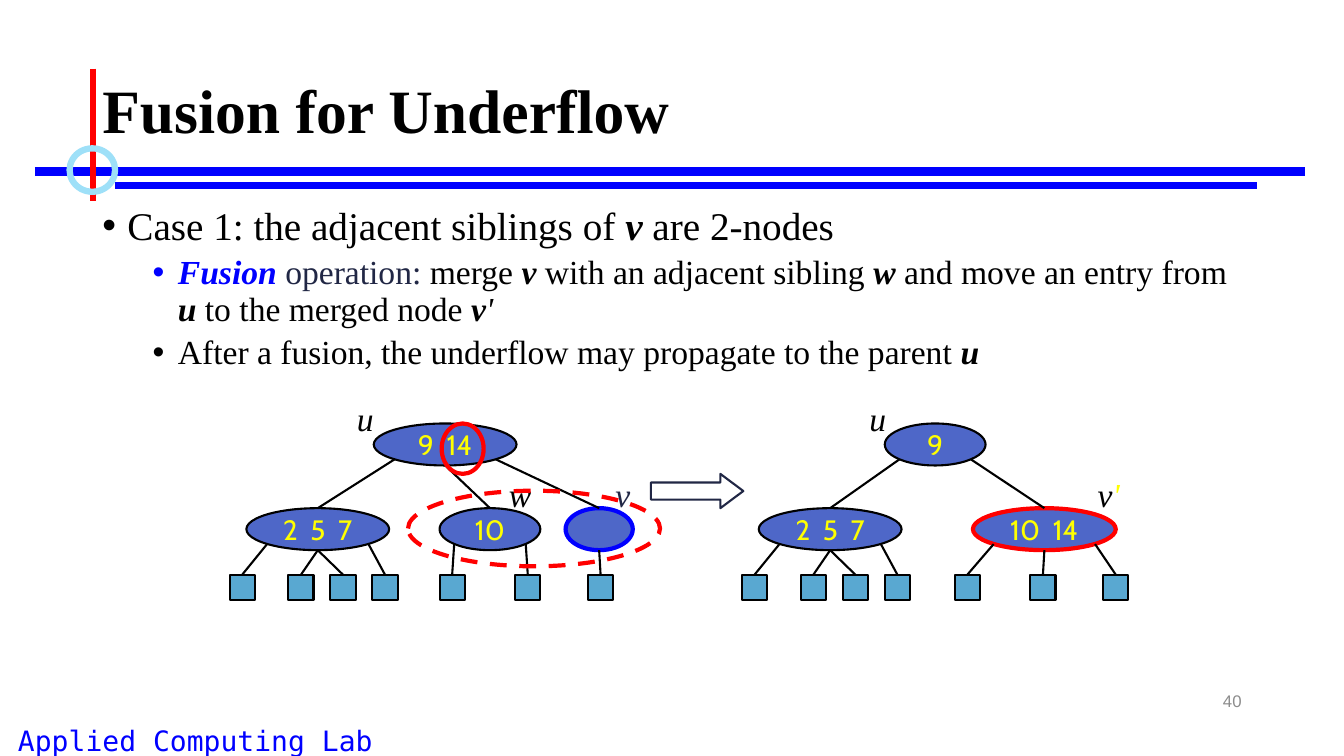
import pptx
import pptx.dml.color
import pptx.enum.dml
import pptx.enum.shapes
import pptx.enum.text
import pptx.oxml
import pptx.oxml.ns
import pptx.util
from dataclasses import dataclass

# Content: spans are (text, style); tree positions are in points.
TITLE = "Fusion for Underflow"
FOOTER = "Applied Computing Lab"
PAGE_NUMBER = "40"
BULLETS = [
    (0, [("Case 1: the adjacent siblings of ", "plain"), ("v", "name"),
         (" are 2-nodes", "plain")]),
    (1, [("Fusion ", "term"), ("operation:", "dark"), (" merge ", "plain"),
         ("v", "name"), (" with an adjacent sibling ", "plain"), ("w", "name"),
         (" and move an entry from ", "plain"), ("u", "name"),
         (" to the merged node ", "plain"), ("v", "name"), ("'", "italic")]),
    (1, [("After a fusion, the underflow may propagate to the parent ", "plain"),
         ("u", "name")]),
]
# A node: keys, centre x, width, outline. A child adds (leaf offset, side) pairs,
# where side is -1, 0 or 1: the left, bottom or right point of the node.
FOUR_LEAVES = [(-54, -1), (-12, 0), (18, 0), (48, 1)]
TREES = [
    {"root": ("9  14", 318, 102, "key"),
     "children": [(("2  5  7", 227, 102, "key"), -1, FOUR_LEAVES),
                  (("10", 350, 72, "key"), 0, [(-27, -1), (27, 1)]),
                  (("", 428, 48, "empty"), 1, [(1, 0)])]},
    {"root": ("9", 668, 72, "key"),
     "children": [(("2  5  7", 593, 102, "key"), -1, FOUR_LEAVES),
                  (("10  14", 746, 102, "merged"), 1,
                   [(-55, -1), (-1, 0), (51, 1)])]},
]
LABELS = [  # centre x, top, spans
    (261, 284.5, [("u", "italic")]),
    (445, 338.5, [("v", "italic_dark")]),
    (371.5, 338.5, [("w", "italic")]),
    (627, 284.5, [("u", "italic")]),
    (792, 338.5, [("v", "italic"), ("'", "italic_key")]),
]


@dataclass(frozen=True)
class Theme:
    black: str = "000000"
    blue: str = "0000FF"
    red: str = "FF0000"
    dark: str = "212745"
    ring: str = "9EE0F8"
    node: str = "4E67C8"
    leaf: str = "59A8D1"
    key: str = "FFFF00"
    grey: str = "8C8C8C"
    serif: str = "Times New Roman"
    sans: str = "Arial"
    mono: str = "DejaVu Sans Mono"
    node_font: str = "Cabin"
    title_size: int = 44
    body_sizes: tuple = (28, 24)
    label_size: int = 24
    key_size: int = 20
    footer_size: int = 20
    number_size: int = 12
    thin: float = 1.5
    bold: float = 3


THEME = Theme()
STYLES = {  # colour, bold, italic
    "plain": (THEME.black, False, False),
    "title": (THEME.black, True, False),
    "name": (THEME.black, True, True),
    "term": (THEME.blue, True, True),
    "dark": (THEME.dark, False, False),
    "italic": (THEME.black, False, True),
    "italic_dark": (THEME.dark, False, True),
    "italic_key": (THEME.key, False, True),
    "key": (THEME.key, False, False),
    "footer": (THEME.blue, False, False),
    "number": (THEME.grey, False, False),
}
OUTLINES = {"key": (THEME.black, THEME.thin), "empty": (THEME.blue, THEME.bold),
            "merged": (THEME.red, THEME.bold)}
NODE_HEIGHT, ROOT_TOP, CHILD_TOP = 30, 302.5, 363
LEAF_SIZE, LEAF_TOP = 18, 410.5
DIAGONAL = 0.71  # sine of 45 degrees, where slanted edges touch a node

Pt = pptx.util.Pt
SHAPE = pptx.enum.shapes.MSO_SHAPE
ALIGN = pptx.enum.text.PP_ALIGN
ANCHOR = pptx.enum.text.MSO_ANCHOR

deck = pptx.Presentation()
deck.slide_width, deck.slide_height = Pt(960), Pt(540)
page = deck.slides.add_slide(deck.slide_layouts[6])


def rgb(colour):
    return pptx.dml.color.RGBColor.from_string(colour)


def add_spans(para, spans, font, size):
    for text, style in spans:
        span = para.add_run()
        span.text = text
        span.font.name, span.font.size = font, Pt(size)
        colour, span.font.bold, span.font.italic = STYLES[style]
        span.font.color.rgb = rgb(colour)


def set_frame(frame, anchor=ANCHOR.TOP, wrap=True, inset=(7.2, 3.6)):
    frame.word_wrap, frame.vertical_anchor = wrap, anchor
    frame.margin_left = frame.margin_right = Pt(inset[0])
    frame.margin_top = frame.margin_bottom = Pt(inset[1])
    return frame.paragraphs[0]


def add_text(bounds, spans, font, size, align=ALIGN.LEFT, **frame_options):
    box = page.shapes.add_textbox(*map(Pt, bounds))
    para = set_frame(box.text_frame, **frame_options)
    para.alignment = align
    add_spans(para, spans, font, size)
    return para


def add_outline(kind, bounds, colour, width, fill=None):
    shape = page.shapes.add_shape(kind, *map(Pt, bounds))
    shape.shadow.inherit = False
    if fill:
        shape.fill.solid()
        shape.fill.fore_color.rgb = rgb(fill)
    else:
        shape.fill.background()
    shape.line.color.rgb, shape.line.width = rgb(colour), Pt(width)
    return shape


def add_line(start, end, colour=THEME.black, width=THEME.thin):
    line = page.shapes.add_connector(pptx.enum.shapes.MSO_CONNECTOR.STRAIGHT,
                                     *map(Pt, (*start, *end)))
    line.line.color.rgb, line.line.width = rgb(colour), Pt(width)
    line._element.spPr.append(pptx.oxml.parse_xml(
        "<a:effectLst %s/>" % pptx.oxml.ns.nsdecls("a")))


def set_bullet(para, level):
    props = para._p.get_or_add_pPr()
    props.set("marL", str(Pt(18 + 36 * level)))
    props.set("indent", str(-Pt(18)))
    for tag, name, value in (("buFont", "typeface", THEME.sans), ("buChar", "char", "•")):
        props.append(pptx.oxml.parse_xml('<a:%s %s %s="%s"/>' % (
            tag, pptx.oxml.ns.nsdecls("a"), name, value)))


def add_node(node, top):
    keys, centre, width, outline = node
    oval = add_outline(SHAPE.OVAL, (centre - width / 2, top, width, NODE_HEIGHT),
                       *OUTLINES[outline], fill=THEME.node)
    if keys:
        para = set_frame(oval.text_frame, ANCHOR.MIDDLE, wrap=False)
        para.alignment = ALIGN.CENTER
        add_spans(para, [(keys, "key")], THEME.node_font, THEME.key_size)


def touch_point(node, top, side):
    """Where an edge to a lower row leaves the node's outline."""
    drop = DIAGONAL if side else 1
    return (node[1] + side * DIAGONAL * node[2] / 2, top + NODE_HEIGHT / 2 * (1 + drop))


def add_tree(root, children):
    add_node(root, ROOT_TOP)
    for child, root_side, leaves in children:
        add_node(child, CHILD_TOP)
        add_line((child[1], CHILD_TOP), touch_point(root, ROOT_TOP, root_side))
        for offset, side in leaves:
            x = child[1] + offset
            add_outline(SHAPE.RECTANGLE, (x - LEAF_SIZE / 2, LEAF_TOP, LEAF_SIZE, LEAF_SIZE),
                        THEME.black, THEME.thin, THEME.leaf)
            add_line((x, LEAF_TOP), touch_point(child, CHILD_TOP, side))


add_text((0, 513, 279, 27), [(FOOTER, "footer")], THEME.mono, THEME.footer_size,
         ALIGN.CENTER, wrap=False)
add_line((25, 122.5), (932.5, 122.5), THEME.blue, 6)
add_line((82, 132.5), (898, 132.5), THEME.blue, 4.5)
add_line((66.5, 49), (66.5, 143.5), THEME.red, 4.5)
add_outline(SHAPE.OVAL, (49.7, 106, 32.5, 31), THEME.ring, 4.5)

add_text((66, 29, 828, 104), [(TITLE, "title")], THEME.serif, THEME.title_size,
         anchor=ANCHOR.MIDDLE).line_spacing = 0.9
body = page.shapes.add_textbox(Pt(66), Pt(144), Pt(828), Pt(343)).text_frame
para = set_frame(body)
for index, (level, spans) in enumerate(BULLETS):
    para = body.add_paragraph() if index else para
    para.level, para.line_spacing = level, 0.9
    para.space_before = Pt(5 if level else 10)
    set_bullet(para, level)
    add_spans(para, spans, THEME.serif, THEME.body_sizes[level])
add_text((678, 486, 216, 29), [(PAGE_NUMBER, "number")], THEME.sans,
         THEME.number_size, ALIGN.RIGHT, anchor=ANCHOR.MIDDLE)

for tree in TREES:
    add_tree(**tree)
for centre, top, spans in LABELS:
    add_text((centre - 8, top, 16, 29), spans, THEME.serif, THEME.label_size,
             ALIGN.CENTER, wrap=False, inset=(0, 0))
arrow = add_outline(SHAPE.RIGHT_ARROW, (465, 338.5, 66, 24.5), THEME.dark, THEME.thin)
arrow.adjustments[0], arrow.adjustments[1] = 0.5, 0.67
add_outline(SHAPE.OVAL, (315.5, 302.5, 30, 36), THEME.red, THEME.bold)
fused_pair = add_outline(SHAPE.OVAL, (291.5, 350.5, 180, 54), THEME.red, THEME.bold)
fused_pair.line.dash_style = pptx.enum.dml.MSO_LINE.DASH

deck.save("out.pptx")
